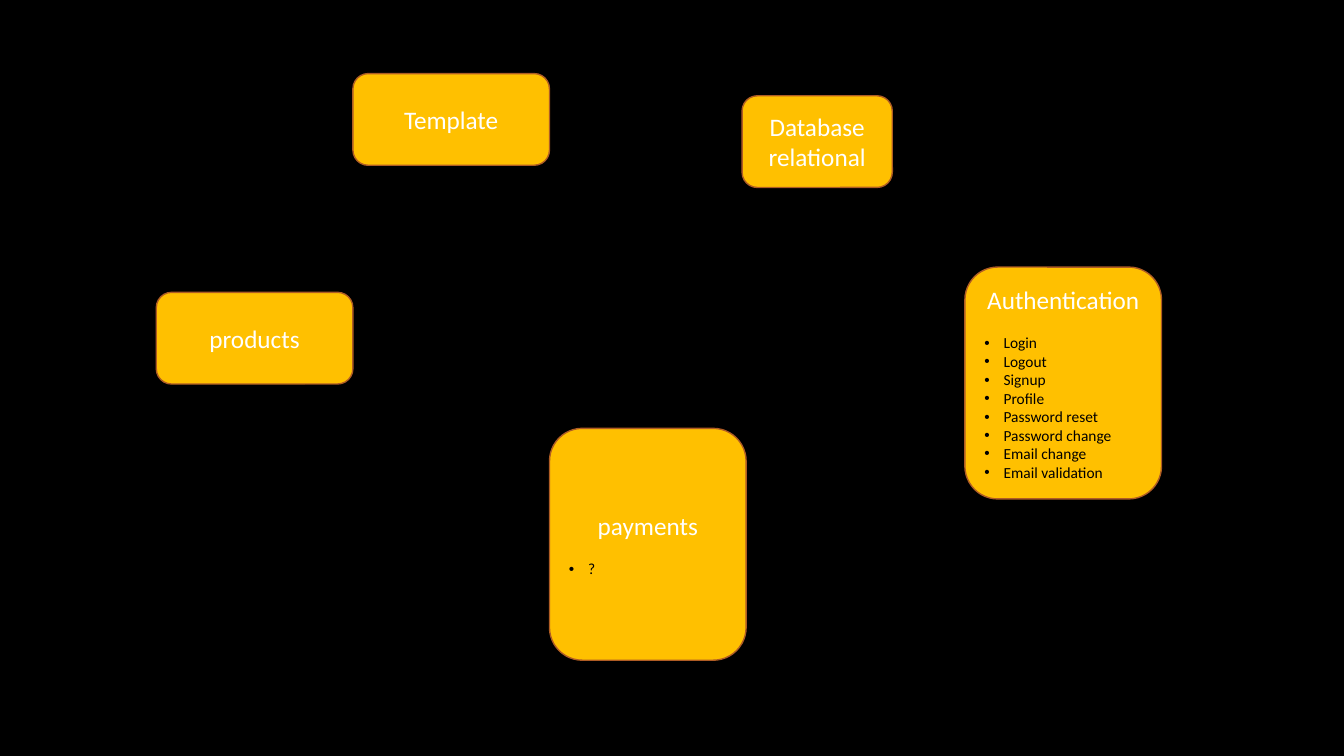
from lxml.etree import SubElement as add_element
from pptx import Presentation
from pptx.dml.color import RGBColor
from pptx.enum.shapes import MSO_SHAPE as Preset
from pptx.enum.text import MSO_ANCHOR as Anchor, PP_ALIGN as Align
from pptx.oxml.ns import qn
from pptx.util import Inches, Pt

BLACK = RGBColor(0x00, 0x00, 0x00)
WHITE = RGBColor(0xFF, 0xFF, 0xFF)
AMBER = RGBColor(0xFF, 0xC0, 0x00)
BROWN = RGBColor(0xAF, 0x5C, 0x24)

CELL = Inches(0.1)
BOX_WIDTH = 19.5
SHORT_HEIGHT = 9.1
TALL_HEIGHT = 23
BULLET_INDENT = Inches(0.19)
TITLE_GAP = 13.4

ACCOUNT_FEATURES = [
    "Login", "Logout", "Signup", "Profile", "Password reset",
    "Password change", "Email change", "Email validation",
]


def write_text(paragraph, text, size=18, color=WHITE, align=Align.CENTER, space_before=0):
    paragraph.alignment = align
    paragraph.space_before = Pt(space_before)
    run = paragraph.add_run()
    run.text = text
    run.font.name = "Calibri"
    run.font.size = Pt(size)
    run.font.color.rgb = color


def add_bullet(paragraph):
    properties = paragraph._p.get_or_add_pPr()
    properties.set("marL", str(BULLET_INDENT))
    properties.set("indent", str(-BULLET_INDENT))
    add_element(properties, qn("a:buFont"), typeface="Arial")
    add_element(properties, qn("a:buChar"), char="•")


def add_module(slide, titles, column, row, width=BOX_WIDTH, height=SHORT_HEIGHT, features=()):
    bounds = [round(CELL * count) for count in (column, row, width, height)]
    shape = slide.shapes.add_shape(Preset.ROUNDED_RECTANGLE, *bounds)
    shape.shadow.inherit = False
    shape.fill.solid()
    shape.fill.fore_color.rgb = AMBER
    shape.line.color.rgb = BROWN
    shape.line.width = Pt(1)
    frame = shape.text_frame
    frame.word_wrap = True
    frame.vertical_anchor = Anchor.MIDDLE
    for index, title in enumerate(titles):
        paragraph = frame.add_paragraph() if index else frame.paragraphs[0]
        write_text(paragraph, title)
    for index, feature in enumerate(features):
        paragraph = frame.add_paragraph()
        write_text(paragraph, feature, size=11, color=BLACK, align=Align.LEFT,
                   space_before=0 if index else TITLE_GAP)
        add_bullet(paragraph)


def main():
    presentation = Presentation()
    presentation.slide_width = Inches(13.33)
    presentation.slide_height = Inches(7.5)
    slide = presentation.slides.add_slide(presentation.slide_layouts[6])
    slide.background.fill.solid()
    slide.background.fill.fore_color.rgb = BLACK

    add_module(slide, ["Database", "relational"], 73.6, 9.5, width=14.9)
    add_module(slide, ["Authentication"], 95.7, 26.5, height=TALL_HEIGHT,
               features=ACCOUNT_FEATURES)
    add_module(slide, ["products"], 15.5, 29)
    add_module(slide, ["Template"], 35, 7.3)
    add_module(slide, ["payments"], 54.5, 42.5, height=TALL_HEIGHT, features=["?"])

    presentation.save("out.pptx")


main()
